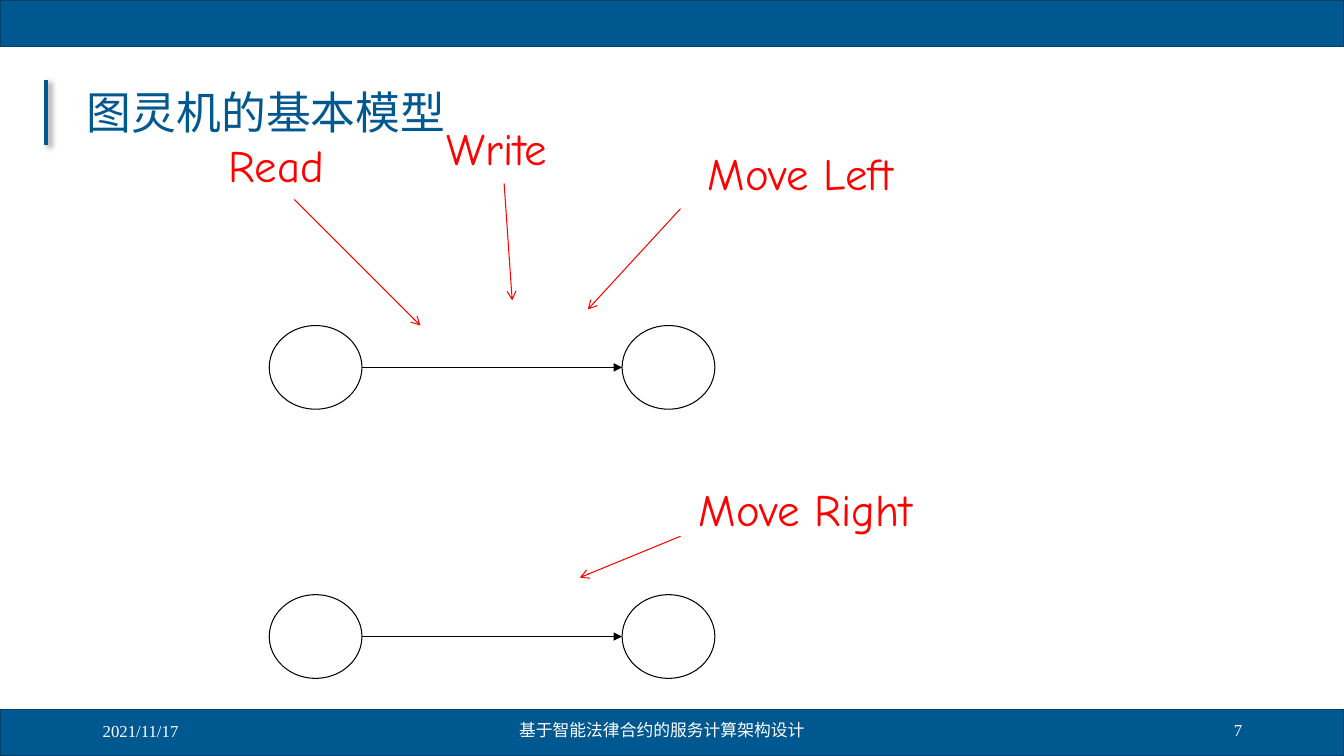
"""Build the slide on the basic model of a Turing machine."""
from lxml.etree import SubElement
from pptx import Presentation
from pptx.dml.color import RGBColor
from pptx.enum.shapes import MSO_CONNECTOR as Link, MSO_SHAPE as Shape
from pptx.enum.text import MSO_ANCHOR as Anchor, MSO_AUTO_SIZE as AutoSize, PP_ALIGN as Align
from pptx.oxml import parse_xml
from pptx.oxml.ns import nsdecls, qn
from pptx.util import Inches, Pt

BLUE = RGBColor(0x00, 0x58, 0x91)
EDGE = RGBColor(0x00, 0x41, 0x6B)
RED = RGBColor(0xFF, 0x00, 0x00)
BLACK = RGBColor(0x00, 0x00, 0x00)
WHITE = RGBColor(0xFF, 0xFF, 0xFF)
HAN_FONT = "Noto Sans CJK SC"

WIDTH, HEIGHT = 13.33, 7.5
BAR = 0.46
STATE_WIDTH, STATE_HEIGHT = 0.92, 0.83
STATE_LEFTS = (2.67, 6.17)
STATE_TOPS = (3.23, 5.9)


def write(box, text, size, font, colour, align=Align.LEFT, anchor=Anchor.MIDDLE, wrap=True):
    """Put one formatted paragraph in a box."""
    frame = box.text_frame
    frame.word_wrap = wrap
    frame.auto_size = AutoSize.NONE if wrap else AutoSize.SHAPE_TO_FIT_TEXT
    frame.vertical_anchor = anchor
    para = frame.paragraphs[0]
    para.text = text
    para.alignment = align
    para.font.size = Pt(size)
    para.font.name = font
    para.font.color.rgb = colour
    SubElement(para._p.pPr.find(qn("a:defRPr")), qn("a:ea"), typeface=HAN_FONT)
    return para


def draw_line(start, end, colour, width=0.75, head=None):
    """Draw a straight line, with an arrowhead at its end if one is named."""
    line = page.shapes.add_connector(Link.STRAIGHT, *map(Inches, start + end))
    line.line.color.rgb = colour
    line.line.width = Pt(width)
    if head:
        SubElement(line.line._get_or_add_ln(), qn("a:tailEnd"), type=head)
    return SubElement(line._element.spPr, qn("a:effectLst"))


deck = Presentation()
deck.slide_width, deck.slide_height = Inches(WIDTH), Inches(HEIGHT)
page = deck.slides.add_slide(deck.slide_layouts[5])

for top in (HEIGHT - BAR, 0):
    bar = page.shapes.add_shape(Shape.RECTANGLE, 0, Inches(top), Inches(WIDTH), Inches(BAR))
    bar.shadow.inherit = False
    bar.fill.solid()
    bar.fill.fore_color.rgb = BLUE
    bar.line.color.rgb = EDGE
    bar.line.width = Pt(1)

effects = draw_line((0.46, 0.79), (0.46, 1.44), BLUE, 3)
effects.append(parse_xml(
    f'<a:outerShdw {nsdecls("a")} blurRad="{Pt(4)}" dist="{Pt(3)}" dir="2700000" algn="tl">'
    '<a:srgbClr val="000000"><a:alpha val="40000"/></a:srgbClr></a:outerShdw>'))

title = page.shapes.title
title.left, title.top, title.width, title.height = map(Inches, (0.76, 0.66, 11.5, 0.96))
write(title, "图灵机的基本模型", 32, HAN_FONT, BLUE).line_spacing = 0.9

footers = (
    ("2021/11/17", 0.92, 7.05, 3, "Times New Roman", Align.LEFT),
    ("基于智能法律合约的服务计算架构设计", 4.21, 7.04, 4.71, "Calibri", Align.CENTER),
    ("7", 9.42, 7.04, 3, "Times New Roman", Align.RIGHT),
)
for text, left, top, width, font, align in footers:
    footer = page.shapes.add_textbox(*map(Inches, (left, top, width, 0.4)))
    write(footer, text, 12, font, WHITE, align)

for top in STATE_TOPS:
    for left in STATE_LEFTS:
        state = page.shapes.add_shape(
            Shape.OVAL, *map(Inches, (left, top, STATE_WIDTH, STATE_HEIGHT)))
        state.shadow.inherit = False
        state.fill.background()
        state.line.color.rgb = BLACK
        state.line.width = Pt(0.75)
    middle = top + STATE_HEIGHT / 2
    draw_line((STATE_LEFTS[0] + STATE_WIDTH, middle), (STATE_LEFTS[1], middle),
              BLACK, head="triangle")

actions = (
    ("Read", 2.17, 1.32, 1.21, (2.92, 1.98), (4.17, 3.23)),
    ("Write", 4.33, 1.15, 1.45, (5, 1.82), (5.08, 2.98)),
    ("Move Left", 6.92, 1.4, 2.35, (6.75, 2.07), (5.83, 3.07)),
    ("Move Right", 6.83, 4.73, 2.53, (6.75, 5.32), (5.75, 5.73)),
)
for text, left, top, width, start, end in actions:
    draw_line(start, end, RED, head="arrow")
    label = page.shapes.add_textbox(*map(Inches, (left, top, width, 0.63)))
    write(label, text, 32, "Comic Neue", RED, anchor=Anchor.TOP, wrap=False)

deck.save("out.pptx")
